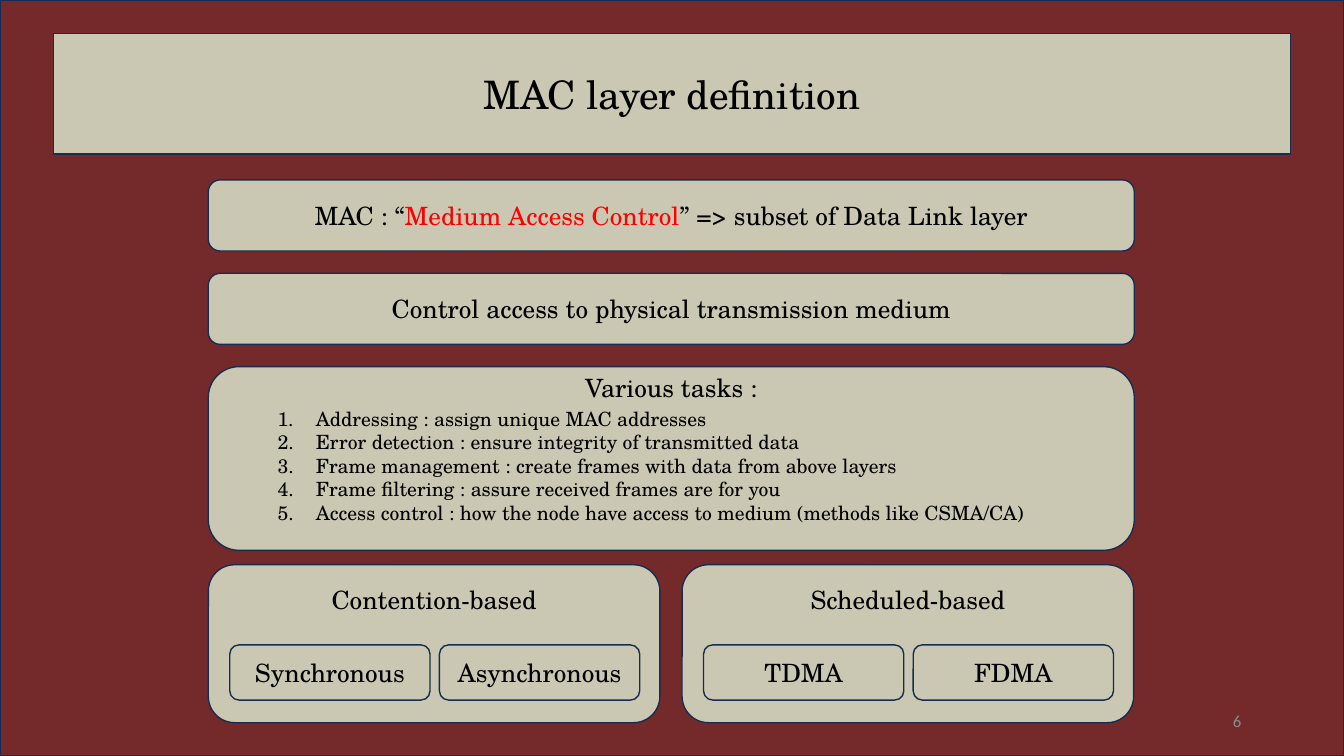
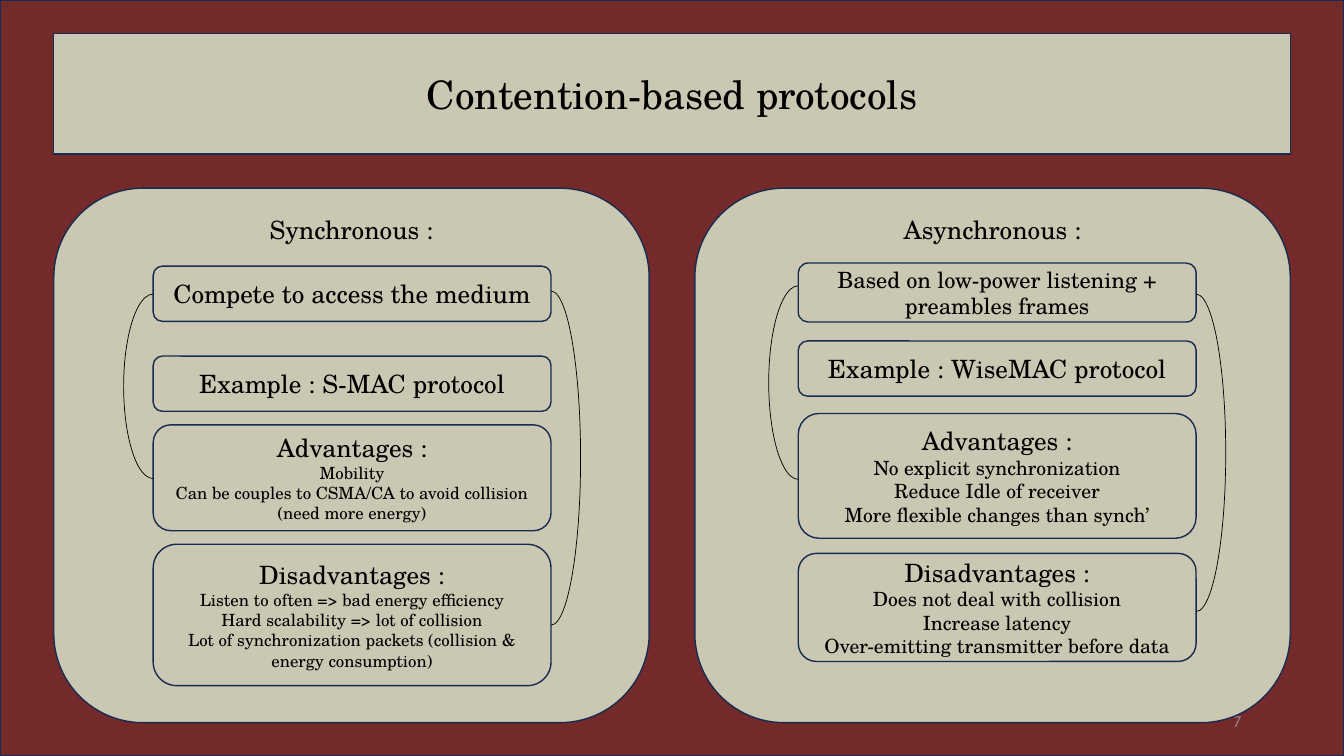
"""Build two slides on the MAC layer and its contention-based protocols."""
from dataclasses import dataclass, field

from lxml import etree
from pptx import Presentation
from pptx import util as u
from pptx.dml.color import RGBColor
from pptx.enum import shapes, text
from pptx.oxml.ns import qn

HUES = {"back": "742A2A", "card": "CAC7B2", "edge": "172C51",
        "ink": "000000", "mark": "FF0000", "page": "8C8C8C"}
FACE = "TeX Gyre Schola"
WIDE, HIGH = u.Inches(13.333), u.Inches(7.5)
MID = {"word_wrap": True, "auto_size": text.MSO_AUTO_SIZE.NONE,
       "vertical_anchor": text.MSO_ANCHOR.MIDDLE}
CENTER, RIGHT = text.PP_ALIGN.CENTER, text.PP_ALIGN.RIGHT


@dataclass
class Line:
    """A paragraph; every second part between bars is marked."""
    words: str
    size: int = 18
    num: bool = False
    after: float = 0
    font: str = FACE
    hue: str = "ink"
    align: text.PP_ALIGN = CENTER


@dataclass
class Box:
    """A rounded card, placed in percent of the slide."""
    x: float
    y: float
    w: float
    h: float
    lines: list[Line]
    frame: dict = field(default_factory=dict)


@dataclass
class Arc:
    """A half ellipse that links two heights beside a column."""
    x: float
    top: float
    end: float
    turn: int


@dataclass
class Group:
    """A protocol family: its cards as (y, h, lines) and its links."""
    name: str
    x: float
    inner: float
    cards: list[tuple[float, float, list[Line]]]
    left: tuple[float, float]
    right: tuple[float, float]


def across(share: float) -> int:
    """Turn a percentage of the width into a length."""
    return round(WIDE * share / 100)


def down(share: float) -> int:
    """Turn a percentage of the height into a length."""
    return round(HIGH * share / 100)


def place(x: float, y: float, w: float, h: float) -> tuple[int, int, int, int]:
    """Turn percentages into left, top, width and height."""
    return across(x), down(y), across(w), down(h)


def shade(hue: str) -> RGBColor:
    """Look up a colour by its role."""
    return RGBColor.from_string(HUES[hue])


def put(item, values: dict) -> None:
    """Set attributes from a dict of format values."""
    for name, value in values.items():
        setattr(item, name, value)


def paint(shape, fill: str | None, edge: str, width: float) -> None:
    """Set the fill and outline of a shape."""
    if fill:
        shape.fill.solid()
        shape.fill.fore_color.rgb = shade(fill)
    else:
        shape.fill.background()
    shape.line.color.rgb = shade(edge)
    shape.line.width = u.Pt(width)


def write(frame, lines: list[Line], values: dict) -> None:
    """Fill a text frame with formatted lines."""
    put(frame, MID | values)
    for i, line in enumerate(lines):
        para = frame.add_paragraph() if i else frame.paragraphs[0]
        put(para, {"alignment": line.align, "space_after": u.Pt(line.after),
                   "space_before": u.Pt(0)})
        if line.num:
            para.alignment = text.PP_ALIGN.LEFT
            props = para._p.get_or_add_pPr()
            props.set("marL", str(u.Inches(0.88)))
            props.set("indent", str(u.Inches(-0.38)))
            etree.SubElement(props, qn("a:buAutoNum"), type="arabicPeriod")
        for j, part in enumerate(line.words.split("|")):
            run = para.add_run()
            run.text = part
            put(run.font, {"name": line.font, "size": u.Pt(line.size)})
            run.font.color.rgb = shade("mark" if j % 2 else line.hue)


def draw(slide, kind, spot: tuple, fill: str | None, edge: str, width: float):
    """Add a flat preset shape."""
    shape = slide.shapes.add_shape(kind, *spot)
    shape.shadow.inherit = False
    paint(shape, fill, edge, width)
    return shape


def card(slide, box: Box) -> None:
    """Draw a rounded card with its text."""
    shape = draw(slide, shapes.MSO_SHAPE.ROUNDED_RECTANGLE,
                 place(box.x, box.y, box.w, box.h), "card", "edge", 1)
    write(shape.text_frame, box.lines, box.frame)


def link(slide, arc: Arc) -> None:
    """Draw a half ellipse turned to the side."""
    long, deep = down(arc.end - arc.top), across(4.4)
    spot = (across(arc.x) - long // 2, down((arc.top + arc.end) / 2) - deep // 2,
            long, deep)
    shape = draw(slide, shapes.MSO_SHAPE.ARC, spot, None, "ink", 0.5)
    shape.rotation = arc.turn
    shape.adjustments[0], shape.adjustments[1] = 108, 0


def start(deck, title: str, page: int):
    """Add a slide with backdrop, title card and page number."""
    slide = deck.slides.add_slide(deck.slide_layouts[5])
    slide.background.fill.solid()
    slide.background.fill.fore_color.rgb = shade("back")
    draw(slide, shapes.MSO_SHAPE.RECTANGLE, place(0, 0, 100, 100), None, "edge", 1)
    head = slide.shapes.title
    put(head, dict(zip(("left", "top", "width", "height"), place(4, 4.4, 92, 16))))
    shape = etree.SubElement(head._element.spPr, qn("a:prstGeom"), prst="roundRect")
    etree.SubElement(shape, qn("a:avLst"))
    paint(head, "card", "edge", 1)
    write(head.text_frame, [Line(title, 28)], {})
    note = slide.shapes.add_textbox(*place(70.6, 92.7, 22.5, 5.3))
    write(note.text_frame,
          [Line(str(page), 12, font="Calibri", hue="page", align=RIGHT)], {})
    return slide


def points(head: str, size: int, *items: str) -> list[Line]:
    """Make a heading followed by smaller lines."""
    return [Line(head)] + [Line(item, size) for item in items]


def top(inset: float) -> dict:
    """Give the format of text held at the top of a card."""
    return {"vertical_anchor": text.MSO_ANCHOR.TOP, "margin_top": u.Inches(inset)}


TASKS = ["Addressing : assign unique MAC addresses",
         "Error detection : ensure integrity of transmitted data",
         "Frame management : create frames with data from above layers",
         "Frame filtering : assure received frames are for you",
         "Access control : how the node have access to medium (methods like CSMA/CA)"]
KINDS = {"Contention-based": ("Synchronous", "Asynchronous"),
         "Scheduled-based": ("TDMA", "FDMA")}
GROUPS = [
    Group("Synchronous :", 4, 11.4, [
        (35.2, 7.3, [Line("Compete to access the medium")]),
        (47.1, 7.3, [Line("Example : S-MAC protocol")]),
        (56.2, 14, points("Advantages :", 12, "Mobility",
                          "Can be couples to CSMA/CA to avoid collision "
                          "(need more energy)")),
        (72, 18.7, points("Disadvantages :", 12,
                          "Listen to often => bad energy efficiency",
                          "Hard scalability => lot of collision",
                          "Lot of synchronization packets (collision & "
                          "energy consumption)"))],
        (38.9, 63.3), (38.5, 82.7)),
    Group("Asynchronous :", 51.7, 59.4, [
        (34.8, 7.8, [Line("Based on low-power listening + preambles frames", 16)]),
        (45.1, 7.3, [Line("Example : WiseMAC protocol")]),
        (54.7, 16.5, points("Advantages :", 14, "No explicit synchronization",
                            "Reduce Idle of receiver",
                            "More flexible changes than synch’")),
        (73.2, 14.3, points("Disadvantages :", 14, "Does not deal with collision",
                            "Increase latency",
                            "Over-emitting transmitter before data"))],
        (37.8, 63.4), (38.9, 80.9)),
]


def define(deck) -> None:
    """Build the slide that defines the MAC layer."""
    slide = start(deck, "MAC layer definition", 6)
    x, w = 15.5, 68.9
    facts = ["MAC : “|Medium Access Control|” => subset of Data Link layer",
             "Control access to physical transmission medium"]
    for row, fact in enumerate(facts):
        card(slide, Box(x, 23.8 + 12.35 * row, w, 9.4, [Line(fact)]))
    tasks = [Line("Various tasks :", after=2.5)]
    tasks += [Line(task, 14, num=True) for task in TASKS]
    card(slide, Box(x, 48.5, w, 24.3, tasks,
                    {"margin_top": 0, "margin_bottom": u.Inches(0.2)}))
    for col, (name, parts) in enumerate(KINDS.items()):
        left = x + 35.25 * col
        card(slide, Box(left, 74.7, 33.6, 20.9, [Line(name)], top(0.12)))
        for i, part in enumerate(parts):
            card(slide, Box(left + 1.6 + 15.6 * i, 85.3, 14.9, 7.3, [Line(part)]))


def contend(deck) -> None:
    """Build the slide that compares contention-based protocols."""
    slide = start(deck, "Contention-based protocols", 7)
    w = 29.6
    for group in GROUPS:
        card(slide, Box(group.x, 24.9, 44.3, 70.7, [Line(group.name)], top(0)))
        for y, h, lines in group.cards:
            card(slide, Box(group.inner, y, w, h, lines))
        link(slide, Arc(group.inner, *group.left, 270))
        link(slide, Arc(group.inner + w, *group.right, 90))


def main() -> None:
    """Build and save the deck."""
    deck = Presentation()
    put(deck, {"slide_width": WIDE, "slide_height": HIGH})
    define(deck)
    contend(deck)
    deck.save("out.pptx")


if __name__ == "__main__":
    main()
